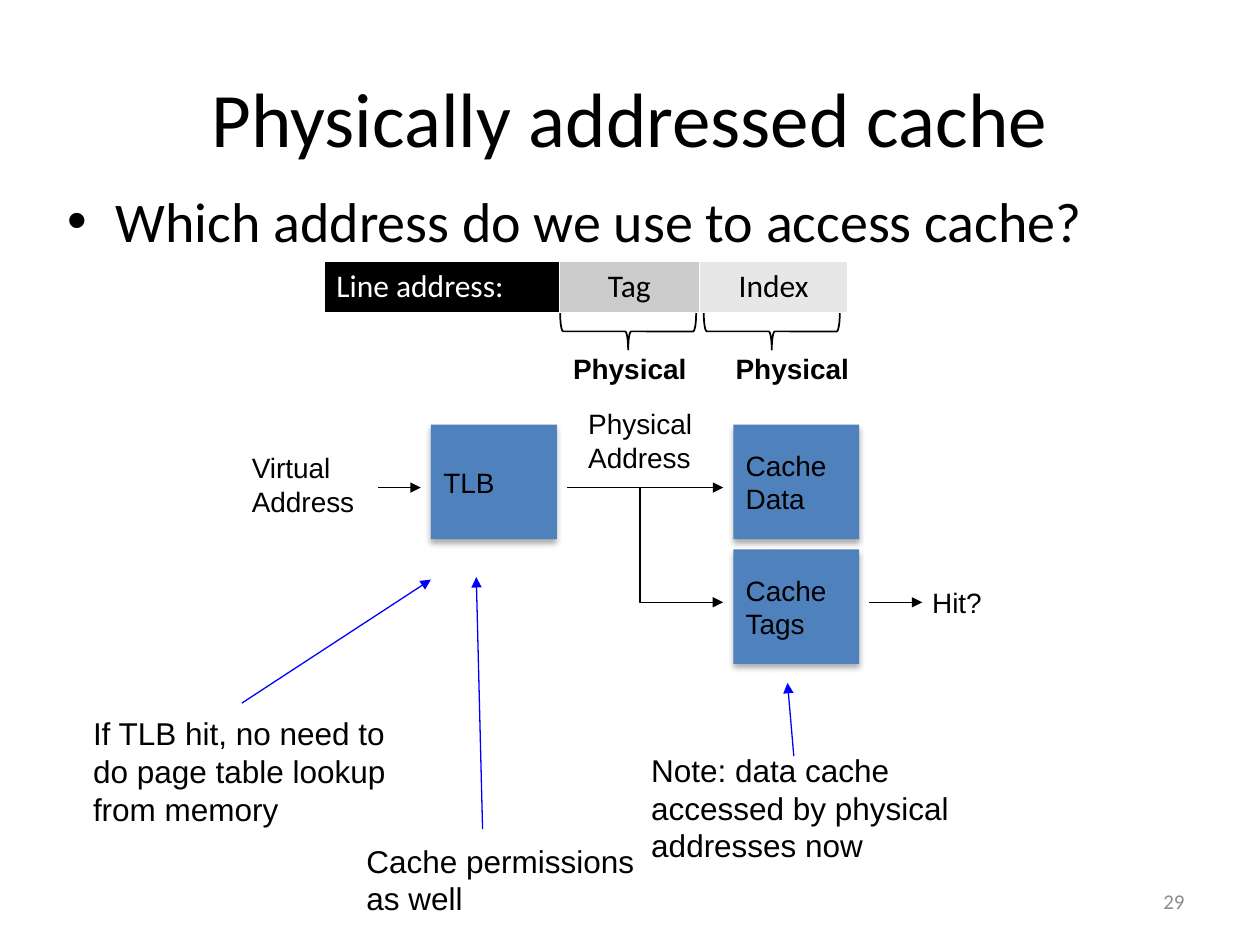
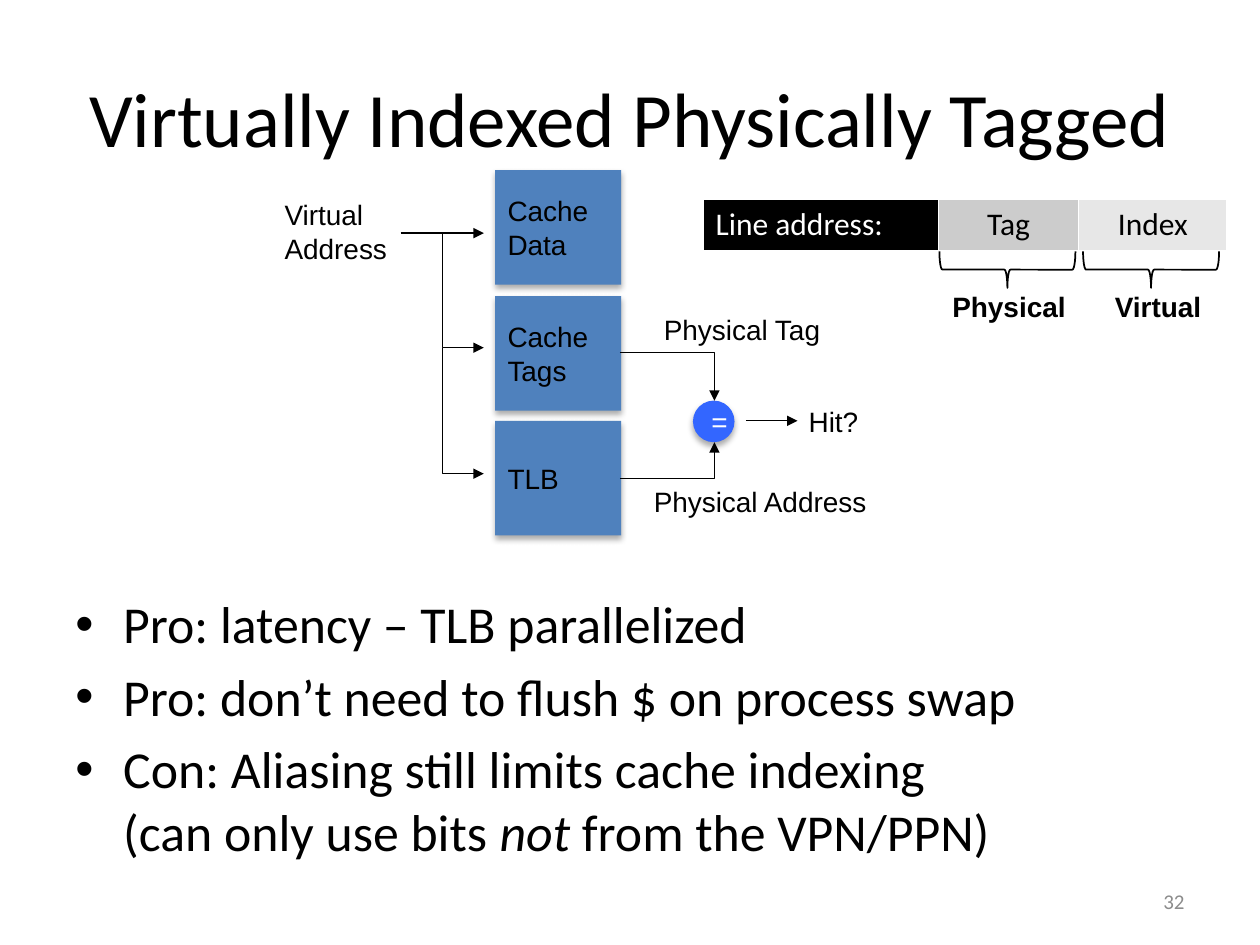
from dataclasses import dataclass

from lxml import etree
from pptx import Presentation
from pptx.dml.color import RGBColor
from pptx.enum.shapes import MSO_CONNECTOR, MSO_SHAPE
from pptx.enum.text import MSO_ANCHOR, PP_ALIGN
from pptx.oxml.ns import qn
from pptx.util import Inches, Pt

STRAIGHT, ELBOW = MSO_CONNECTOR.STRAIGHT, MSO_CONNECTOR.ELBOW
RECTANGLE, OVAL, BRACE = MSO_SHAPE.RECTANGLE, MSO_SHAPE.OVAL, MSO_SHAPE.RIGHT_BRACE
LEFT, CENTER, RIGHT = PP_ALIGN.LEFT, PP_ALIGN.CENTER, PP_ALIGN.RIGHT
TOP, MIDDLE = MSO_ANCHOR.TOP, MSO_ANCHOR.MIDDLE


@dataclass(frozen=True)
class Theme:
    heading_font: str = "Calibri"
    label_font: str = "Arial"
    title_size: float = 44
    label_size: float = 16
    note_size: float = 18
    field_size: float = 18
    number_size: float = 12
    black: str = "000000"
    white: str = "FFFFFF"
    grey: str = "8C8C8C"
    block: str = "4F81BD"
    comparator: str = "3366FF"
    pointer: str = "0000FF"


THEME = Theme()

# Address fields: text, width, fill, text colour, alignment
ADDRESS_FIELDS = [
    ("Line address:", 1.87, THEME.black, THEME.white, LEFT),
    ("Tag", 1.11, "CCCCCC", THEME.black, CENTER),
    ("Index", 1.18, "E7E7E7", THEME.black, CENTER),
]
FIELD_HEIGHT = 0.41
BLOCK_SIZE = (1, 0.91)
BRACE_SIZE = (0.29, 1.08)
BRACE_OFFSETS = (2.27, 3.41)
KIND_OFFSETS = (1.88, 3.17)
KIND_WIDTHS = {"Physical": 1.11, "Virtual": 0.9}

# Labels and notes: lines, left, top, width
# Arrows: start, end; branches and elbows: corner points
SLIDES = [
    {
        "title": "Physically addressed cache",
        "number": "29",
        "body": (0.44, 1.43, 9.13, 0.82),
        "body_size": 32,
        "bullets": [[("Which address do we use to access cache?", False)]],
        "line_address": (2.57, 2.07, ("Physical", "Physical")),
        "blocks": [
            (["TLB"], 3.42, 3.37),
            (["Cache", "Data"], 5.82, 3.37),
            (["Cache", "Tags"], 5.82, 4.36),
        ],
        "labels": [
            (["Virtual", "Address"], 1.9, 3.53, 1.02),
            (["Physical", "Address"], 4.57, 3.18, 1.03),
            (["Hit?"], 7.3, 4.6, 0.6),
        ],
        "notes": [
            (["If TLB hit, no need to", "do page table lookup", "from memory"], 0.64, 5.62, 2.54),
            (["Note: data cache", "accessed by physical", "addresses now"], 5.07, 5.91, 2.59),
            (["Cache permissions", "as well"], 2.81, 6.63, 2.35),
        ],
        "arrows": [
            ((3, 3.87), (3.34, 3.87)),
            ((4.5, 3.87), (5.74, 3.87)),
            ((6.9, 4.78), (7.32, 4.78)),
        ],
        "pointers": [
            ((1.92, 5.58), (3.42, 4.6)),
            ((6.3, 6), (6.25, 5.42)),
            ((3.83, 6.58), (3.78, 4.58)),
        ],
        "branches": [((5.08, 3.87), (5.74, 4.78))],
    },
    {
        "title": "Virtually Indexed Physically Tagged",
        "number": "32",
        "body": (0.5, 4.65, 9, 2.05),
        "body_size": 29.6,
        "bullets": [
            [("Pro: latency – TLB parallelized", False)],
            [("Pro: don’t need to flush $ on process swap", False)],
            [
                ("Con: Aliasing still limits cache indexing", False),
                None,
                ("(can only use bits ", False),
                ("not", True),
                (" from the VPN/PPN)", False),
            ],
        ],
        "line_address": (5.58, 1.58, ("Physical", "Virtual")),
        "blocks": [
            (["Cache", "Data"], 3.93, 1.35),
            (["Cache", "Tags"], 3.93, 2.35),
            (["TLB"], 3.93, 3.34),
        ],
        "labels": [
            (["Virtual", "Address"], 2.16, 1.52, 1.02),
            (["Hit?"], 6.32, 3.16, 0.6),
            (["Physical Address"], 5.09, 3.8, 1.91),
            (["Physical Tag"], 5.17, 2.43, 1.45),
        ],
        "arrows": [
            ((3.18, 1.85), (3.84, 1.85)),
            ((5.92, 3.34), (6.33, 3.34)),
        ],
        "branches": [((3.51, 1.85), (3.84, 2.76)), ((3.51, 2.76), (3.84, 3.76))],
        "elbows": [((4.92, 3.8), (5.67, 3.51)), ((4.92, 2.8), (5.67, 3.18))],
        "comparator": ("=", 5.5, 3.18, 0.33),
    },
]


def color(value):
    return RGBColor.from_string(value)


def inches(*values):
    return [Inches(value) for value in values]


# Text
def add_run(paragraph, text, size, ink=THEME.black, font=THEME.label_font, bold=False, italic=False):
    run = paragraph.add_run()
    run.text = text
    run.font.name, run.font.size = font, Pt(size)
    run.font.bold, run.font.italic = bold, italic
    run.font.color.rgb = color(ink)


def write_lines(shape, lines, size, align=LEFT, anchor=TOP, wrap=False, **style):
    frame = shape.text_frame
    frame.word_wrap, frame.vertical_anchor = wrap, anchor
    for index, line in enumerate(lines):
        paragraph = frame.add_paragraph() if index else frame.paragraphs[0]
        paragraph.alignment = align
        add_run(paragraph, line, size, **style)


def add_text(slide, lines, box, size, **style):
    write_lines(slide.shapes.add_textbox(*inches(*box)), lines, size, **style)


def add_label(slide, lines, left, top, width, size=THEME.label_size, **style):
    height = 0.1 + 0.017 * size * len(lines)
    add_text(slide, lines, (left, top, width, height), size, **style)


def add_bullets(slide, content):
    frame = slide.shapes.add_textbox(*inches(*content["body"])).text_frame
    frame.word_wrap = True
    size = content["body_size"]
    for index, parts in enumerate(content["bullets"]):
        paragraph = frame.add_paragraph() if index else frame.paragraphs[0]
        properties = paragraph._p.get_or_add_pPr()
        properties.set("marL", str(Inches(0.38)))
        properties.set("indent", str(-Inches(0.38)))
        etree.SubElement(properties, qn("a:buFont"), typeface="Arial")
        etree.SubElement(properties, qn("a:buChar"), char="•")
        paragraph.space_before = Pt(0.2 * size if index else 0)
        for part in parts:
            if part is None:
                paragraph.add_line_break()
            else:
                add_run(paragraph, part[0], size, font=THEME.heading_font, italic=part[1])


# Filled shapes
def add_shadow(shape):
    shape.shadow.inherit = False
    effects = shape._element.spPr.find(qn("a:effectLst"))
    shadow = etree.SubElement(effects, qn("a:outerShdw"), blurRad=str(Pt(3.5)),
                              dist=str(Pt(2.2)), dir="5400000", rotWithShape="0")
    ink = etree.SubElement(shadow, qn("a:srgbClr"), val=THEME.black)
    etree.SubElement(ink, qn("a:alpha"), val="32000")


def add_block(slide, kind, lines, box, fill, ink=THEME.black):
    shape = slide.shapes.add_shape(kind, *inches(*box))
    shape.fill.solid()
    shape.fill.fore_color.rgb = color(fill)
    shape.line.fill.background()
    add_shadow(shape)
    write_lines(shape, lines, THEME.label_size, anchor=MIDDLE, ink=ink)


# Arrows
def style_arrow(shape, ink):
    shape.line.color.rgb = color(ink)
    shape.line.width = Pt(0.75)
    etree.SubElement(shape.line._get_or_add_ln(), qn("a:tailEnd"), type="triangle")


def add_arrow(slide, start, end, ink=THEME.black, kind=STRAIGHT):
    connector = slide.shapes.add_connector(kind, *inches(*start, *end))
    style_arrow(connector, ink)
    properties = connector._element.spPr
    etree.SubElement(properties, qn("a:effectLst"))
    if kind == ELBOW:
        properties.find(qn("a:prstGeom")).set("prst", "bentConnector2")


def add_branch(slide, start, end):
    builder = slide.shapes.build_freeform(*inches(*start))
    corners = [(start[0], end[1]), end]
    builder.add_line_segments([inches(*corner) for corner in corners], close=False)
    branch = builder.convert_to_shape()
    branch.fill.background()
    branch.shadow.inherit = False
    style_arrow(branch, THEME.black)


# Line address: table, braces and kinds
def set_borders(cell):
    properties = cell._tc.get_or_add_tcPr()
    for index, side in enumerate(("lnL", "lnR", "lnT", "lnB")):
        line = etree.Element(qn(f"a:{side}"), w=str(Pt(1)))
        fill = etree.SubElement(line, qn("a:solidFill"))
        etree.SubElement(fill, qn("a:srgbClr"), val=THEME.white)
        properties.insert(index, line)


def add_line_address(slide, left, top, kinds):
    width = sum(field[1] for field in ADDRESS_FIELDS)
    table = slide.shapes.add_table(1, len(ADDRESS_FIELDS), *inches(left, top, width, FIELD_HEIGHT)).table
    table.first_row = table.horz_banding = False
    for index, (text, field_width, fill, ink, align) in enumerate(ADDRESS_FIELDS):
        table.columns[index].width = Inches(field_width)
        cell = table.cell(0, index)
        cell.fill.solid()
        cell.fill.fore_color.rgb = color(fill)
        set_borders(cell)
        paragraph = cell.text_frame.paragraphs[0]
        paragraph.alignment = align
        add_run(paragraph, text, THEME.field_size, ink, THEME.heading_font)
    for offset in BRACE_OFFSETS:
        brace = slide.shapes.add_shape(BRACE, *inches(left + offset, top + 0.02, *BRACE_SIZE))
        brace.rotation = 90
        brace.shadow.inherit = False
        brace.fill.solid()
        brace.fill.fore_color.rgb = color(THEME.white)
        brace.line.color.rgb = color(THEME.black)
        brace.line.width = Pt(1)
    for kind, offset in zip(kinds, KIND_OFFSETS):
        add_label(slide, [kind], left + offset, top + 0.67, KIND_WIDTHS[kind], bold=True)


def build_slide(presentation, content):
    slide = presentation.slides.add_slide(presentation.slide_layouts[6])
    heading = {"font": THEME.heading_font, "anchor": MIDDLE, "wrap": True}
    add_text(slide, [content["title"]], (0.5, 0.3, 9, 1.25), THEME.title_size, align=CENTER, **heading)
    add_bullets(slide, content)
    for lines, left, top in content["blocks"]:
        add_block(slide, RECTANGLE, lines, (left, top, *BLOCK_SIZE), THEME.block)
    if "comparator" in content:
        sign, left, top, size = content["comparator"]
        add_block(slide, OVAL, [sign], (left, top, size, size), THEME.comparator, THEME.white)
    for start, end in content["arrows"]:
        add_arrow(slide, start, end)
    for start, end in content.get("pointers", []):
        add_arrow(slide, start, end, THEME.pointer)
    for start, end in content.get("elbows", []):
        add_arrow(slide, start, end, kind=ELBOW)
    for start, end in content["branches"]:
        add_branch(slide, start, end)
    for label in content["labels"]:
        add_label(slide, *label)
    for note in content.get("notes", []):
        add_label(slide, *note, size=THEME.note_size)
    add_line_address(slide, *content["line_address"])
    add_text(slide, [content["number"]], (7.17, 6.95, 2.33, 0.4), THEME.number_size,
             align=RIGHT, ink=THEME.grey, **heading)


def main():
    presentation = Presentation()
    presentation.slide_width, presentation.slide_height = inches(10, 7.5)
    for content in SLIDES:
        build_slide(presentation, content)
    presentation.save("out.pptx")


if __name__ == "__main__":
    main()
